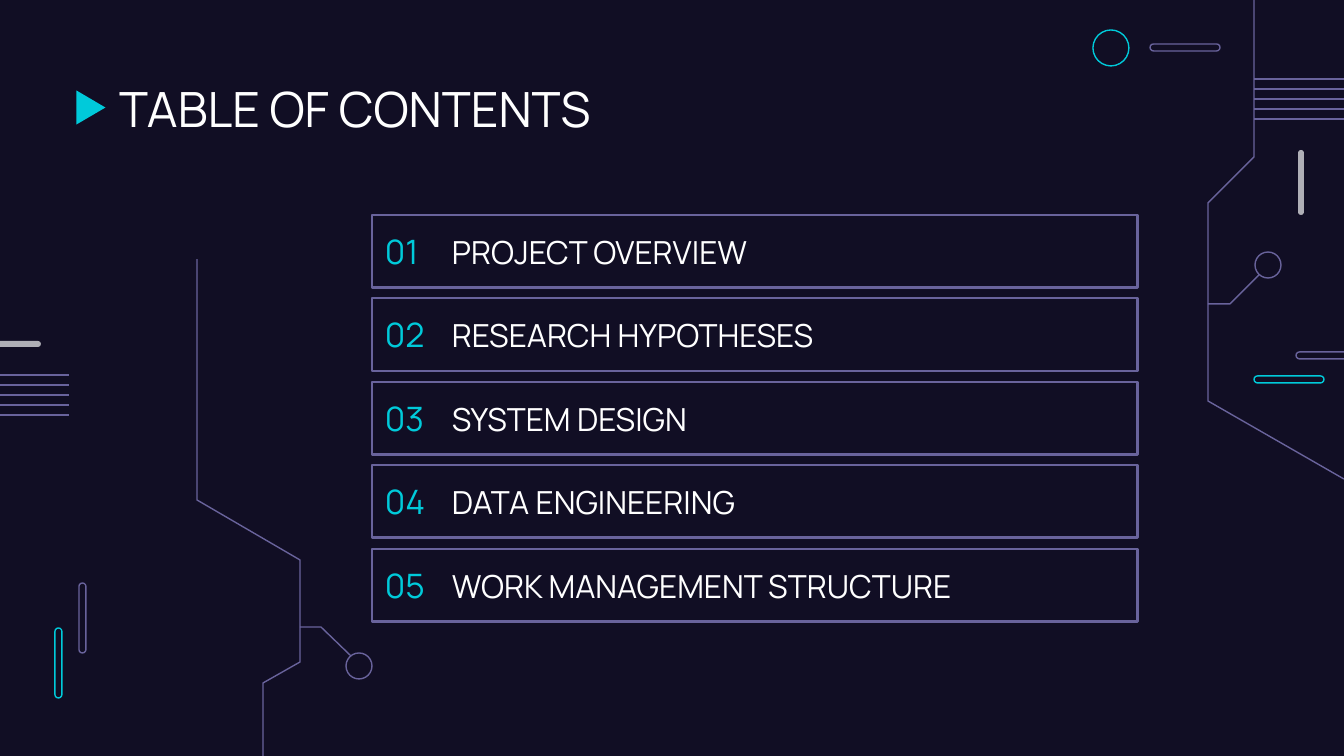
import pptx
import pptx.dml.color
import pptx.enum.shapes
import pptx.enum.text
import pptx.oxml
import pptx.oxml.ns
import pptx.util

EMU_PER_PX = 914400 / 134.4
SHAPE = pptx.enum.shapes.MSO_SHAPE
COLORS = {
    "night": "110E24",
    "cyan": "00CADA",
    "violet": "69639C",
    "grey": "AFAFB6",
    "white": "FFFFFF",
}


def px(n):
    return pptx.util.Emu(round(n * EMU_PER_PX))


def rgb(name):
    return pptx.dml.color.RGBColor.from_string(COLORS[name])


class Deck:
    font = "Manrope"
    thin = 0.75
    inset = 13

    def __init__(self, width, height):
        self.prs = pptx.Presentation()
        self.prs.slide_width, self.prs.slide_height = px(width), px(height)
        self.s = None

    def new_slide(self):
        self.s = self.prs.slides.add_slide(self.prs.slide_layouts[5])
        fill = self.s.background.fill
        fill.solid()
        fill.fore_color.rgb = rgb("night")

    def paint(self, sp, fill=None, line=None, weight=thin):
        sp.shadow.inherit = False
        if fill:
            sp.fill.solid()
            sp.fill.fore_color.rgb = rgb(fill)
        else:
            sp.fill.background()
        if line:
            sp.line.color.rgb = rgb(line)
            sp.line.width = pptx.util.Pt(weight)
        else:
            sp.line.fill.background()

    def shape(self, kind, x, y, w, h, **look):
        sp = self.s.shapes.add_shape(kind, px(x), px(y), px(w), px(h))
        self.paint(sp, **look)
        return sp

    def pill(self, x, y, w, h, **look):
        sp = self.shape(SHAPE.ROUNDED_RECTANGLE, x, y, w, h, **look)
        sp.adjustments[0] = 0.5

    def circle(self, x, y, size, color):
        self.shape(SHAPE.OVAL, x, y, size, size, line=color)

    def trace(self, *points):
        """Draw an open circuit line through the points."""
        fb = self.s.shapes.build_freeform(*points[0], scale=EMU_PER_PX)
        fb.add_line_segments(points[1:], close=False)
        self.paint(fb.convert_to_shape(), line="violet")

    def rule(self, x1, x2, y):
        """Draw a thin horizontal line."""
        c = self.s.shapes.add_connector(
            pptx.enum.shapes.MSO_CONNECTOR.STRAIGHT, px(x1), px(y), px(x2), px(y))
        c.line.color.rgb = rgb("violet")
        c.line.width = pptx.util.Pt(self.thin)
        c._element.spPr.append(pptx.oxml.parse_xml(
            f"<a:effectLst {pptx.oxml.ns.nsdecls('a')}/>"))

    def frame(self, sp):
        """Set up the text frame and return its first paragraph."""
        tf = sp.text_frame
        tf.word_wrap = True
        tf.auto_size = pptx.enum.text.MSO_AUTO_SIZE.NONE
        tf.vertical_anchor = pptx.enum.text.MSO_ANCHOR.MIDDLE
        tf.margin_left = tf.margin_right = px(self.inset)
        tf.margin_top = tf.margin_bottom = px(self.inset)
        p = tf.paragraphs[0]
        p.alignment = pptx.enum.text.PP_ALIGN.LEFT
        return p

    def run(self, p, text, size, color):
        r = p.add_run()
        r.text = text
        r.font.name = self.font
        r.font.size = pptx.util.Pt(size)
        r.font.color.rgb = rgb(color)

    def title(self, text, x, y, w, h):
        sp = self.s.shapes.title
        sp.left, sp.top, sp.width, sp.height = px(x), px(y), px(w), px(h)
        self.run(self.frame(sp), text, 26, "white")

    def entry(self, number, text, x, y, w, h, tab):
        """Add a boxed contents entry, its text starting at the tab."""
        sp = self.shape(SHAPE.RECTANGLE, x, y, w, h, line="violet", weight=1.5)
        p = self.frame(sp)
        p._p.get_or_add_pPr().append(pptx.oxml.parse_xml(
            f"<a:tabLst {pptx.oxml.ns.nsdecls('a')}>"
            f'<a:tab pos="{px(tab)}" algn="l"/></a:tabLst>'))
        self.run(p, f"{number:02d}\t", 18, "cyan")
        self.run(p, text, 17, "white")


def draw_circuit(deck):
    for x, y, color in [(55, 628, "cyan"), (79, 583, "violet")]:
        deck.pill(x, y, 7, 70, line=color)
    for x, y, color in [(1254, 376, "cyan"), (1296, 352, "violet"),
                        (1150, 44, "violet")]:
        deck.pill(x, y, 70, 7, line=color)
    deck.pill(1298, 150, 6, 65, fill="grey")
    deck.pill(-24, 341, 65, 6, fill="grey")

    deck.circle(1093, 30, 36, "cyan")
    deck.circle(1255, 252, 26, "violet")
    deck.circle(346, 653, 26, "violet")

    deck.trace((1259, 275), (1230, 304), (1208, 304))
    deck.trace((1344, 479), (1208, 401), (1208, 203), (1254, 157), (1254, 0))
    deck.trace((351, 656), (321, 627), (300, 627))
    deck.trace((197, 259), (197, 500), (300, 560), (300, 662), (263, 683),
               (263, 756))

    for x1, x2, top in [(1254, 1344, 79), (0, 69, 375)]:
        for i in range(5):
            deck.rule(x1, x2, top + 10 * i)


def main():
    deck = Deck(1344, 756)
    deck.new_slide()
    draw_circuit(deck)

    marker = deck.shape(SHAPE.FLOWCHART_MERGE, 74, 93, 34, 29, fill="cyan")
    marker.rotation = 270
    deck.title("TABLE OF CONTENTS", 106, 66, 1133, 85)

    entries = ["PROJECT OVERVIEW", "RESEARCH HYPOTHESES", "SYSTEM DESIGN",
               "DATA ENGINEERING", "WORK MANAGEMENT STRUCTURE"]
    first, last = 215, 549
    for i, text in enumerate(entries):
        y = first + (last - first) * i // (len(entries) - 1)
        deck.entry(i + 1, text, 372, y, 766, 73, tab=67)

    deck.prs.save("out.pptx")


if __name__ == "__main__":
    main()
